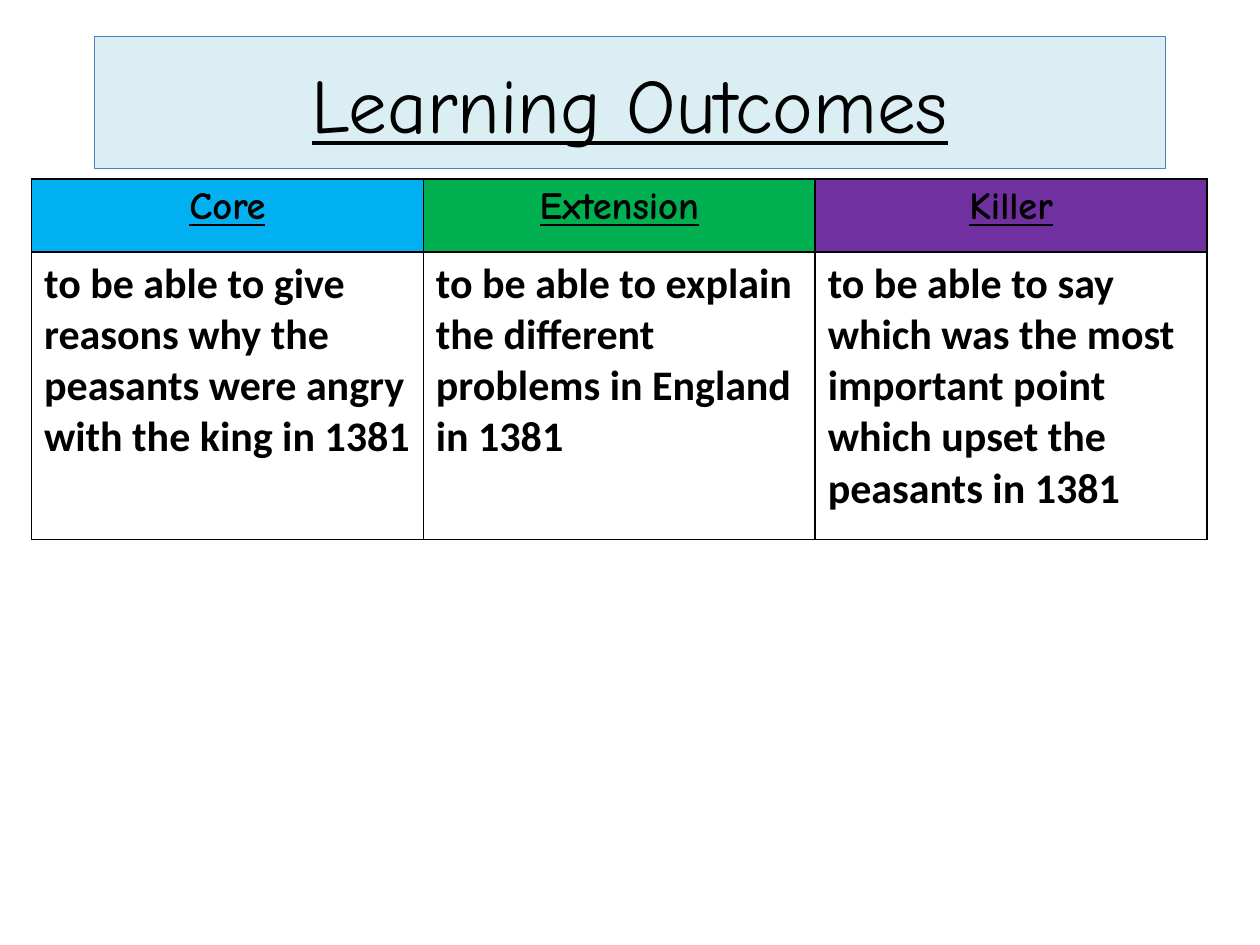
from lxml import etree
from pptx import Presentation
from pptx.dml.color import RGBColor
from pptx.enum.text import MSO_ANCHOR, PP_ALIGN
from pptx.oxml.ns import qn
from pptx.util import Inches, Pt

CENTER, LEFT = PP_ALIGN.CENTER, PP_ALIGN.LEFT
MIDDLE = MSO_ANCHOR.MIDDLE
TITLE_ONLY = 5
GRID_COLUMNS, GRID_ROWS = 100, 75

COLORS = {
    "ink": "000000",
    "banner": "DBEEF4",
    "banner_line": "4F81BD",
    "core": "00B0F0",
    "extension": "00B050",
    "killer": "7030A0",
}

OUTCOMES = [
    ("Core", "core",
     "to be able to give reasons why the peasants were angry with the king in 1381"),
    ("Extension", "extension",
     "to be able to explain the different problems in England in 1381"),
    ("Killer", "killer",
     "to be able to say which was the most important point which upset the peasants in 1381"),
]


def rgb(name):
    return RGBColor.from_string(COLORS[name])


class OutcomesSlide:
    """Holds the style and the page; lengths are grid columns and rows."""
    heading_font = "Comic Neue"
    body_font = "Calibri"

    def __init__(self, deck):
        self.page = deck.slides.add_slide(deck.slide_layouts[TITLE_ONLY])
        self.column = deck.slide_width / GRID_COLUMNS
        self.row = deck.slide_height / GRID_ROWS

    def across(self, columns):
        return round(columns * self.column)

    def down(self, rows):
        return round(rows * self.row)

    def set_text(self, frame, text, font, size, align=LEFT, bold=False, underline=False):
        frame.text = text
        para = frame.paragraphs[0]
        para.alignment = align
        for span in para.runs:
            span.font.name = font
            span.font.size = Pt(size)
            span.font.bold = bold
            span.font.underline = underline
            span.font.color.rgb = rgb("ink")

    def title(self, text, left, top, width, height):
        box = self.page.shapes.title
        box.left, box.top = self.across(left), self.down(top)
        box.width, box.height = self.across(width), self.down(height)
        box.fill.solid()
        box.fill.fore_color.rgb = rgb("banner")
        box.line.color.rgb = rgb("banner_line")
        box.line.width = Pt(0.75)
        box.text_frame.vertical_anchor = MIDDLE
        self.set_text(box.text_frame, text, self.heading_font, 44, CENTER, underline=True)

    def border(self, cell):
        """Draw a thin line on all four sides, ahead of the cell's fill."""
        properties = cell._tc.get_or_add_tcPr()
        for position, side in enumerate(("a:lnL", "a:lnR", "a:lnT", "a:lnB")):
            line = etree.Element(qn(side), w=str(Pt(1)))
            fill = etree.SubElement(line, qn("a:solidFill"))
            etree.SubElement(fill, qn("a:srgbClr"), val=COLORS["ink"])
            properties.insert(position, line)

    def table(self, outcomes, left, top, column_width, row_heights):
        frame = self.page.shapes.add_table(
            len(row_heights), len(outcomes), self.across(left), self.down(top),
            self.across(column_width * len(outcomes)), self.down(sum(row_heights)))
        grid = frame.table
        for row, height in zip(grid.rows, row_heights):
            row.height = self.down(height)
        for index, (level, color, aim) in enumerate(outcomes):
            grid.columns[index].width = self.across(column_width)
            header, body = grid.cell(0, index), grid.cell(1, index)
            header.fill.solid()
            header.fill.fore_color.rgb = rgb(color)
            body.fill.background()
            self.set_text(header.text_frame, level, self.heading_font, 22, CENTER,
                          bold=True, underline=True)
            self.set_text(body.text_frame, aim, self.body_font, 24, bold=True)
            self.border(header)
            self.border(body)


def main():
    deck = Presentation()
    deck.slide_width, deck.slide_height = Inches(10), Inches(7.5)
    slide = OutcomesSlide(deck)
    slide.title("Learning Outcomes", 7.5, 2.9, 85, 10.5)
    slide.table(OUTCOMES, 2.5, 14.2, 31.1, (5.8, 22.8))
    deck.save("out.pptx")


if __name__ == "__main__":
    main()
